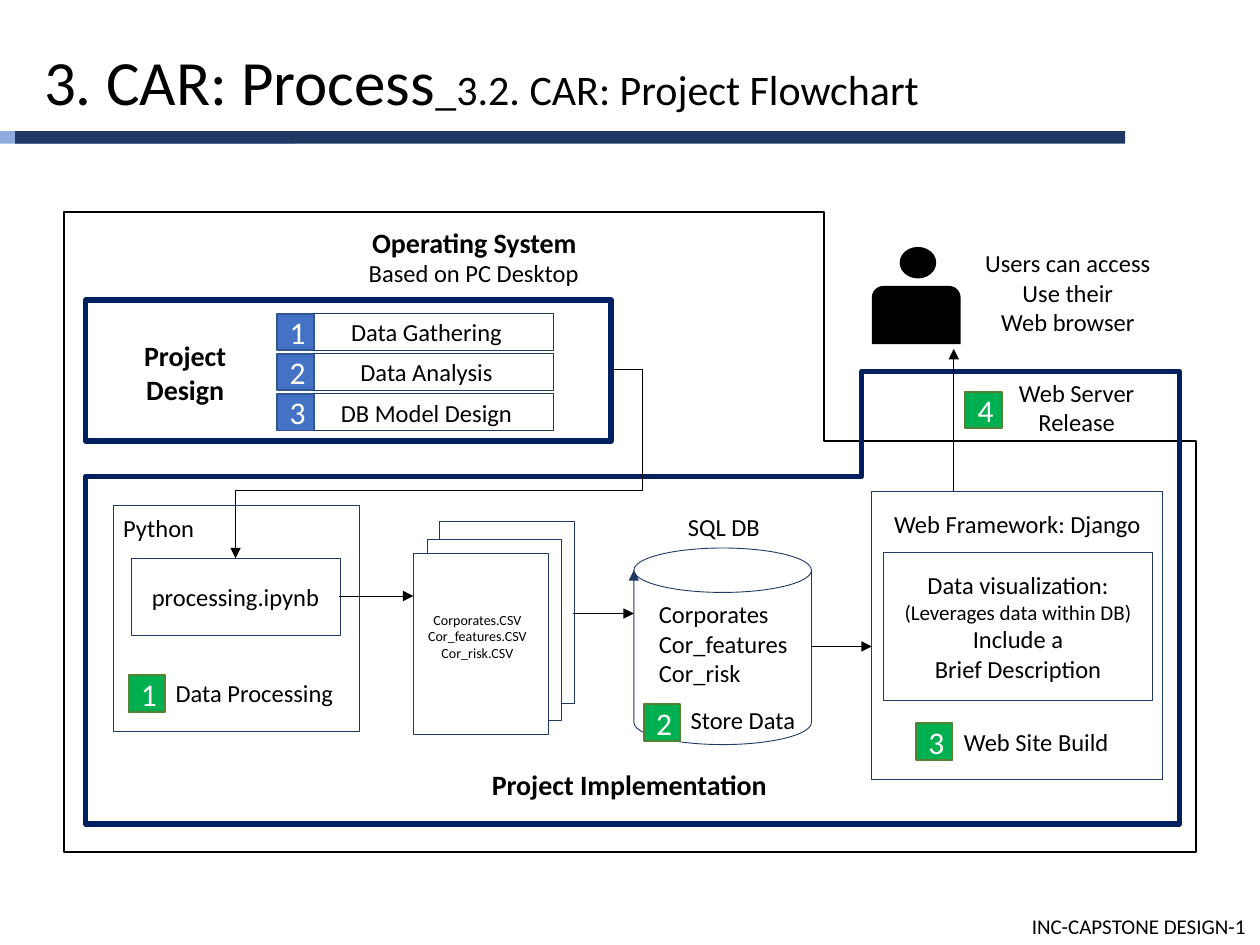
"""Build the project flowchart slide."""
from dataclasses import dataclass

from lxml import etree
from pptx import Presentation
from pptx.dml.color import RGBColor
from pptx.enum.shapes import MSO_CONNECTOR, MSO_SHAPE
from pptx.enum.text import MSO_ANCHOR, PP_ALIGN
from pptx.oxml.ns import qn
from pptx.util import Pt

RECTANGLE = MSO_SHAPE.RECTANGLE
OVAL = MSO_SHAPE.OVAL
CAN = MSO_SHAPE.CAN
ROUNDED_TOP = MSO_SHAPE.ROUND_2_SAME_RECTANGLE
STRAIGHT = MSO_CONNECTOR.STRAIGHT
ELBOW = MSO_CONNECTOR.ELBOW
LEFT = PP_ALIGN.LEFT
CENTER = PP_ALIGN.CENTER
TOP = MSO_ANCHOR.TOP
MIDDLE = MSO_ANCHOR.MIDDLE

FONT = "Calibri"
BLACK, WHITE = "000000", "FFFFFF"
NAVY, DARK_BLUE, LIGHT_BLUE = "002060", "203864", "8FAADC"
BLUE, BLUE_EDGE = "4472C4", "325491"
GREEN, GREEN_EDGE = "00B050", "548235"
BADGE_SIZE = 20.9


@dataclass
class Area:
    left: float
    top: float
    width: float
    height: float

    def lengths(self):
        return Pt(self.left), Pt(self.top), Pt(self.width), Pt(self.height)


@dataclass
class Label:
    area: Area
    lines: list[str]
    size: float = 14
    bold: bool = False
    alignment: PP_ALIGN = CENTER


@dataclass
class Badge:
    number: int
    left: float
    top: float
    fill: str = GREEN
    edge: str = GREEN_EDGE


LABELS = [
    Label(Area(56.9, 284.4, 67.7, 34.6), ["Python"]),
    Label(Area(61.2, 190.8, 89.3, 43.9), ["Project", "Design"], 16, True),
    Label(Area(498.2, 280.8, 166.3, 37.4), ["Web Framework: Django"]),
    Label(Area(373, 400.3, 103, 22.3), ["Store Data"]),
    Label(Area(564.5, 216.7, 101.5, 31.7), ["Web Server", "Release"]),
    Label(Area(231.1, 311.8, 83.5, 103.7),
          ["Corporates.CSV", "Cor_features.CSV", "Cor_risk.CSV"], 8),
    Label(Area(362.9, 289.4, 101.5, 23), ["SQL DB"]),
    Label(Area(369.4, 347.8, 102.2, 39.6),
          ["Corporates", "Cor_features", "Cor_risk"], alignment=LEFT),
    Label(Area(72.7, 380.2, 145.4, 31.7), ["Data Processing"]),
    Label(Area(530.6, 411.8, 123.1, 24.5), ["Web Site Build"]),
    Label(Area(550.8, 148.3, 118.8, 37.4),
          ["Users can access", "Use their", "Web browser"]),
    Label(Area(202.3, 127.4, 137.5, 22.3), ["Operating System"], 16, True),
    Label(Area(192.2, 145.4, 157, 20.9), ["Based on PC Desktop"]),
    Label(Area(255.6, 426.2, 208.1, 43.9), ["Project Implementation"], 16, True),
    Label(Area(582.5, 518.4, 137.5, 21.6), ["INC-CAPSTONE DESIGN-1"], 12,
          alignment=LEFT),
]
BADGES = [Badge(1, 73.4, 385.9), Badge(2, 367.9, 402.5),
          Badge(3, 523.4, 413.3), Badge(4, 551.5, 223.9)]
STEPS = ["Data Gathering", "Data Analysis", "DB Model Design"]
PAGES = [(251.3, 298.1), (244.1, 308.2), (236.2, 316.1)]
SYSTEM_OUTLINE = [(36.7, 121), (470.9, 121), (470.9, 252), (683.3, 252),
                  (683.3, 486.7), (36.7, 486.7)]
IMPLEMENTATION_OUTLINE = [(49, 272.2), (492.5, 272.2), (492.5, 212.4),
                          (673.9, 212.4), (673.9, 470.9), (49, 470.9)]
ARROWS = [((193.7, 340.6), (236.2, 340.6)), ((327.6, 350.6), (362.2, 350.6)),
          ((463.7, 369.4), (498.2, 369.4)), ((545, 280.8), (545, 199.4))]


def color(hex_value: str) -> RGBColor:
    return RGBColor.from_string(hex_value)


def style(shape, fill: str | None, line: str | None, weight: float) -> None:
    shape.shadow.inherit = False
    if fill:
        shape.fill.solid()
        shape.fill.fore_color.rgb = color(fill)
    else:
        shape.fill.background()
    if line:
        shape.line.color.rgb = color(line)
        shape.line.width = Pt(weight)
    else:
        shape.line.fill.background()


def add_box(shapes, area: Area, fill=None, line=DARK_BLUE, weight=0.5, kind=RECTANGLE):
    shape = shapes.add_shape(kind, *area.lengths())
    style(shape, fill, line, weight)
    return shape


def add_outline(shapes, points: list, line: str, weight: float) -> None:
    builder = shapes.build_freeform(Pt(points[0][0]), Pt(points[0][1]))
    builder.add_line_segments([(Pt(x), Pt(y)) for x, y in points[1:]], close=True)
    style(builder.convert_to_shape(), None, line, weight)


def write(shape, lines: list[str], size=14, bold=False, alignment=CENTER,
          font_color=BLACK) -> None:
    frame = shape.text_frame
    frame.word_wrap = True
    frame.vertical_anchor = MIDDLE
    frame.text = "\n".join(lines)
    for paragraph in frame.paragraphs:
        paragraph.alignment = alignment
        paragraph.font.name = FONT
        paragraph.font.size = Pt(size)
        paragraph.font.bold = bold
        paragraph.font.color.rgb = color(font_color)


def add_badge(shapes, badge: Badge) -> None:
    area = Area(badge.left, badge.top, BADGE_SIZE, BADGE_SIZE)
    shape = add_box(shapes, area, badge.fill, badge.edge, 1)
    write(shape, [str(badge.number)], 18, font_color=WHITE)


def add_arrowhead(shape) -> None:
    etree.SubElement(shape.line._get_or_add_ln(), qn("a:tailEnd"), type="triangle")


def add_arrow(shapes, start: tuple, end: tuple, kind=STRAIGHT):
    connector = shapes.add_connector(kind, *map(Pt, start + end))
    connector.line.color.rgb = color(BLACK)
    connector.line.width = Pt(0.5)
    add_arrowhead(connector)
    etree.SubElement(connector._element.spPr, qn("a:effectLst"))
    return connector


def add_double_bend(shapes, start: tuple, end: tuple, bends: tuple) -> None:
    connector = add_arrow(shapes, start, end, ELBOW)
    geometry = connector._element.spPr.find(qn("a:prstGeom"))
    geometry.set("prst", "bentConnector4")
    guides = geometry.find(qn("a:avLst"))
    for number, bend in enumerate(bends, 1):
        etree.SubElement(guides, qn("a:gd"), name=f"adj{number}", fmla=f"val {bend}")


def add_title(slide) -> None:
    title = slide.shapes.title
    title.left, title.top, title.width, title.height = Area(18, 20.9, 758.9, 79.9).lengths()
    title.text_frame.vertical_anchor = TOP
    paragraph = title.text_frame.paragraphs[0]
    paragraph.alignment = LEFT
    paragraph.font.name = FONT
    paragraph.font.color.rgb = color(BLACK)
    for text, size in (("3. CAR: Process", 36), ("_3.2. CAR: Project Flowchart", 24)):
        run = paragraph.add_run()
        run.text = text
        run.font.size = Pt(size)


def main() -> None:
    presentation = Presentation()
    presentation.slide_width, presentation.slide_height = Pt(720), Pt(540)
    slide = presentation.slides.add_slide(presentation.slide_layouts[5])
    shapes = slide.shapes
    add_title(slide)
    add_box(shapes, Area(0, 74.9, 168.5, 7.2), LIGHT_BLUE, None)
    add_box(shapes, Area(8.6, 74.9, 634.3, 7.2), DARK_BLUE, None)

    add_outline(shapes, SYSTEM_OUTLINE, BLACK, 1)
    add_outline(shapes, IMPLEMENTATION_OUTLINE, NAVY, 3)
    add_box(shapes, Area(49, 171.4, 300.2, 80.6), line=NAVY, weight=3)
    for index, step in enumerate(STEPS):
        top = 179.3 + 22.9 * index
        box = add_box(shapes, Area(158.4, top, 157.7, BADGE_SIZE))
        write(box, [step])
        box.text_frame.margin_left = Pt(20)
        add_badge(shapes, Badge(index + 1, 158.4, top, BLUE, BLUE_EDGE))

    add_box(shapes, Area(64.8, 288.7, 140.4, 129.6))
    write(add_box(shapes, Area(74.9, 319, 119.5, 43.9)), ["processing.ipynb"])
    for left, top in PAGES:
        add_box(shapes, Area(left, top, 77, 103.7), WHITE)
    add_arrowhead(add_box(shapes, Area(362.2, 313.2, 101.5, 112.3), kind=CAN))
    add_box(shapes, Area(498.2, 280.8, 166.3, 164.9))
    view = add_box(shapes, Area(504.7, 315.4, 154.1, 85))
    write(view, ["Data visualization:", "(Leverages data within DB)",
                 "Include a", "Brief Description"])
    view.text_frame.paragraphs[1].font.size = Pt(12)

    add_box(shapes, Area(514.1, 141.1, 20.9, 18), BLACK, None, kind=OVAL)
    body = add_box(shapes, Area(498.2, 163.4, 50.8, 33.2), BLACK, None, kind=ROUNDED_TOP)
    body.adjustments[0] = 0.2

    for label in LABELS:
        write(shapes.add_textbox(*label.area.lengths()), label.lines, label.size,
              label.bold, label.alignment)
    for badge in BADGES:
        add_badge(shapes, badge)
    for start, end in ARROWS:
        add_arrow(shapes, start, end)
    add_double_bend(shapes, (349.2, 211), (134.6, 319), (-8400, 64100))
    presentation.save("out.pptx")


if __name__ == "__main__":
    main()
